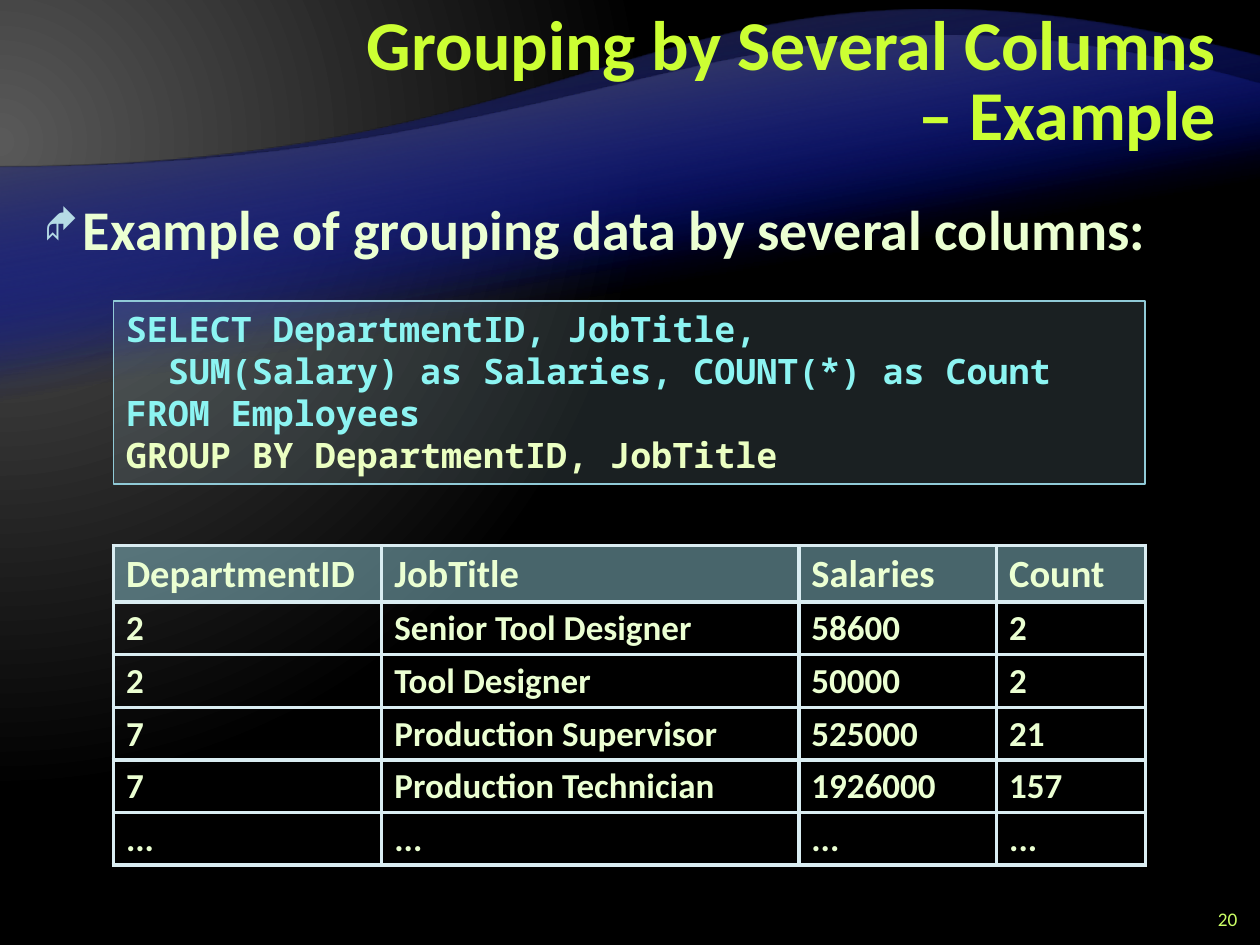
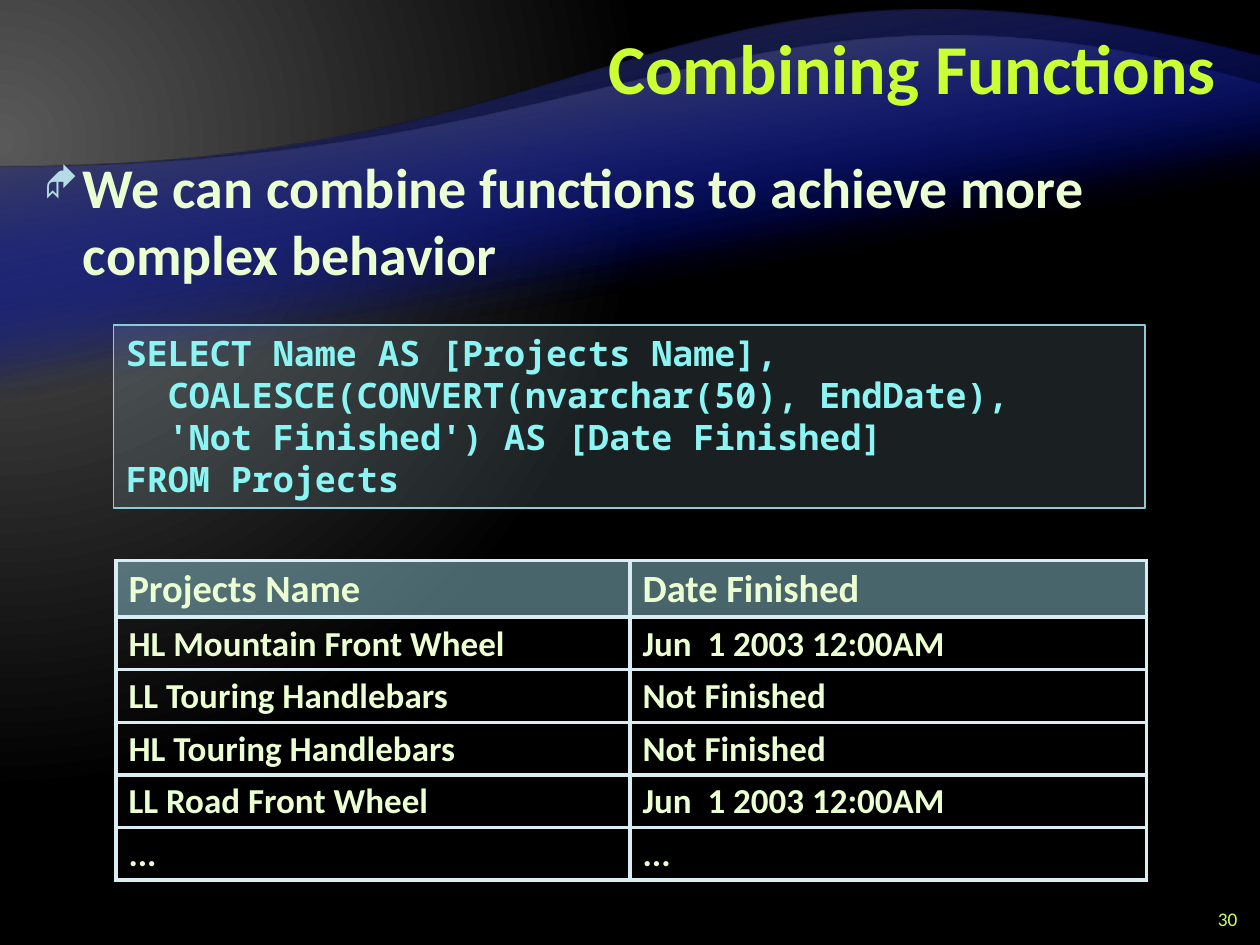
from dataclasses import dataclass

from lxml import etree
from pptx import Presentation
from pptx import oxml
from pptx.dml.color import RGBColor
from pptx.enum import shapes, text
from pptx.oxml.ns import qn
from pptx.util import Inches, Pt


@dataclass(frozen=True)
class Theme:
    font: str = "Calibri"
    code_font: str = "Noto Sans Mono"
    title: str = "CCFF33"
    body: str = "EBFFD2"
    number: str = "CCFF66"
    code: str = "8CF4F2"
    code_highlight: str = "EBFFC2"
    pale: str = "B5DBE5"
    accent: str = "90CAD7"
    border: str = "DAEDF2"
    wave: str = "000D9E"
    wave_edges: tuple = ("262626", "595959")
    title_size: int = 40
    body_size: int = 32
    header_size: int = 22
    cell_size: int = 20
    code_size: int = 20
    number_size: int = 11


THEME = Theme()

BACKGROUND = (
    '<p:bg xmlns:p="http://schemas.openxmlformats.org/presentationml/2006/main" '
    'xmlns:a="http://schemas.openxmlformats.org/drawingml/2006/main"><p:bgPr>'
    '<a:gradFill rotWithShape="1"><a:gsLst>'
    '<a:gs pos="0"><a:srgbClr val="595959"/></a:gs>'
    '<a:gs pos="83000"><a:srgbClr val="000000"/></a:gs></a:gsLst>'
    '<a:path path="circle"><a:fillToRect l="20000" t="30000" r="135000" b="100000"/></a:path>'
    '</a:gradFill><a:effectLst/></p:bgPr></p:bg>'
)

BACK_WAVE = (6.53, ((0, 1.33), (5, 1.33), (5.34, -0.75), (10, 0.45)))
FRONT_WAVE = (5.57, ((0, 1.33), (5, 1.33), (5.98, -0.49), (10, 0.67)))


def rgb(value):
    return RGBColor.from_string(value)


def add_child(parent, tag, **attributes):
    return etree.SubElement(parent, qn(tag), **attributes)


def set_alpha(color_holder, percent):
    color = next(color_holder.iter(qn("a:srgbClr")))
    add_child(color, "a:alpha", val=str(percent * 1000))


def style_runs(para, size, color, font=THEME.font, bold=True):
    for span in para.runs:
        span.font.name = font
        span.font.size = Pt(size)
        span.font.bold = bold
        span.font.color.rgb = rgb(color)


def bend_crest(wave, points):
    crest = list(wave.element.iter(qn("a:lnTo")))[2]
    curve = etree.Element(qn("a:cubicBezTo"))
    for x, y in points:
        add_child(curve, "a:pt", x=str(Inches(x)), y=str(Inches(y)))
    crest.getparent().replace(crest, curve)


def add_wave(page, bottom, controls, edge):
    turned = [(10 - x, bottom - y) for x, y in controls]
    top = controls[-1][1]
    corners = [(0, top), (10, top), (10, top + turned[0][1]), (0, bottom)]
    start, *rest = [(Inches(x), Inches(y)) for x, y in corners]
    builder = page.shapes.build_freeform(*start)
    builder.add_line_segments(rest, close=True)
    wave = builder.convert_to_shape()
    bend_crest(wave, turned[1:])
    wave.rotation = 180
    wave.shadow.inherit = False
    wave.line.fill.background()
    wave.fill.gradient()
    wave.fill.gradient_angle = 280
    clear, solid = wave.fill.gradient_stops
    clear.position, solid.position = 0.65, 1
    clear.color.rgb, solid.color.rgb = rgb(THEME.wave), rgb(edge)
    set_alpha(wave.element.spPr, 0)
    return wave


def decorate_layout(layout, page):
    layout.element.cSld.insert(0, oxml.parse_xml(BACKGROUND))
    tree = layout.element.cSld.spTree
    waves = list(zip((BACK_WAVE, FRONT_WAVE), THEME.wave_edges)) * 2
    for index, ((bottom, controls), edge) in enumerate(waves):
        wave = add_wave(page, bottom, controls, edge)
        wave.element.nvSpPr.cNvPr.set("id", str(100 + index))
        tree.insert(2 + index, wave.element)


def set_title(page, words, left, top, width):
    title = page.shapes.title
    title.left, title.top = Inches(left), Inches(top)
    title.width, title.height = Inches(width), Inches(1)
    frame = title.text_frame
    frame.text = words
    frame.word_wrap = True
    frame.auto_size = text.MSO_AUTO_SIZE.NONE
    frame.vertical_anchor = text.MSO_ANCHOR.MIDDLE
    para = frame.paragraphs[0]
    para.alignment = text.PP_ALIGN.RIGHT
    para.line_spacing = Pt(40)
    style_runs(para, THEME.title_size, THEME.title)


def add_text(page, words, left, top, width, height):
    box = page.shapes.add_textbox(Inches(left), Inches(top), Inches(width), Inches(height))
    box.text_frame.word_wrap = True
    box.text_frame.text = words
    return box.text_frame


def add_bullet(page, words, top):
    para = add_text(page, words, 0.25, top, 9.5, 7.33 - top).paragraphs[0]
    para.line_spacing = Pt(38)
    para.space_after = Pt(6)
    props = para._p.get_or_add_pPr()
    props.set("marL", str(Inches(0.31)))
    props.set("indent", str(Inches(-0.31)))
    add_child(add_child(props, "a:buClr"), "a:srgbClr", val=THEME.pale)
    add_child(props, "a:buSzPct", val="70000")
    add_child(props, "a:buFont", typeface="Wingdings", charset="2")
    add_child(props, "a:buChar", char="◆")
    style_runs(para, THEME.body_size, THEME.body)


def add_number(page, number):
    frame = add_text(page, str(number), 9.42, 7.17, 0.5, 0.25)
    frame.vertical_anchor = text.MSO_ANCHOR.MIDDLE
    para = frame.paragraphs[0]
    para.alignment = text.PP_ALIGN.RIGHT
    style_runs(para, THEME.number_size, THEME.number, bold=False)


def add_code(page, lines, top, highlighted=()):
    box = page.shapes.add_shape(shapes.MSO_SHAPE.RECTANGLE, Inches(0.9), Inches(top),
                                Inches(8.19), Inches(1.45))
    box.shadow.inherit = False
    box.fill.solid()
    box.fill.fore_color.rgb = rgb(THEME.pale)
    set_alpha(box.element.spPr, 15)
    box.line.color.rgb = rgb(THEME.accent)
    box.line.width = Pt(1)
    frame = box.text_frame
    frame.text = "\n".join(lines)
    frame.word_wrap = True
    frame.auto_size = text.MSO_AUTO_SIZE.SHAPE_TO_FIT_TEXT
    frame.vertical_anchor = text.MSO_ANCHOR.TOP
    for index, para in enumerate(frame.paragraphs):
        para.alignment = text.PP_ALIGN.LEFT
        color = THEME.code_highlight if index in highlighted else THEME.code
        style_runs(para, THEME.code_size, color, THEME.code_font)


def set_borders(cell):
    props = cell._tc.get_or_add_tcPr()
    for index, side in enumerate(("a:lnL", "a:lnR", "a:lnT", "a:lnB")):
        line = add_child(props, side, w=str(Pt(2.25)))
        add_child(add_child(line, "a:solidFill"), "a:srgbClr", val=THEME.border)
        props.insert(index, line)


def style_cell(cell, is_header):
    if is_header:
        cell.fill.solid()
        cell.fill.fore_color.rgb = rgb(THEME.accent)
        set_alpha(cell._tc.tcPr, 50)
    else:
        cell.fill.background()
    set_borders(cell)
    para = cell.text_frame.paragraphs[0]
    para.line_spacing = 0.95
    style_runs(para, THEME.header_size if is_header else THEME.cell_size, THEME.body)


def add_result_table(page, rows, left, top, widths):
    row_height = Inches(0.38)
    table = page.shapes.add_table(len(rows), len(widths), Inches(left), Inches(top),
                                  Inches(sum(widths)), row_height * len(rows)).table
    table.first_row = table.horz_banding = False
    for column, width in zip(table.columns, widths):
        column.width = Inches(width)
    for index, (row, values) in enumerate(zip(table.rows, rows)):
        row.height = row_height
        for cell, value in zip(row.cells, values):
            cell.text = value
            style_cell(cell, index == 0)


def build_grouping(page):
    set_title(page, "Grouping by Several Columns – Example", 2.75, 0.17, 7)
    add_bullet(page, "Example of grouping data by several columns:", 1.5)
    add_number(page, 20)
    add_code(page, [
        "SELECT DepartmentID, JobTitle,",
        "  SUM(Salary) as Salaries, COUNT(*) as Count",
        "FROM Employees",
        "GROUP BY DepartmentID, JobTitle",
    ], 2.39, highlighted=(3,))
    add_result_table(page, [
        ("DepartmentID", "JobTitle", "Salaries", "Count"),
        ("2", "Senior Tool Designer", "58600", "2"),
        ("2", "Tool Designer", "50000", "2"),
        ("7", "Production Supervisor", "525000", "21"),
        ("7", "Production Technician", "1926000", "157"),
        ("...",) * 4,
    ], 0.9, 4.33, (2.13, 3.31, 1.57, 1.18))


def build_combining(page):
    set_title(page, "Combining Functions", 2, 0.08, 7.75)
    add_bullet(page, "We can combine functions to achieve more complex behavior", 1.17)
    add_number(page, 30)
    add_code(page, [
        "SELECT Name AS [Projects Name],",
        "  COALESCE(CONVERT(nvarchar(50), EndDate),",
        "  'Not Finished') AS [Date Finished]",
        "FROM Projects",
    ], 2.58)
    add_result_table(page, [
        ("Projects Name", "Date Finished"),
        ("HL Mountain Front Wheel", "Jun  1 2003 12:00AM"),
        ("LL Touring Handlebars", "Not Finished"),
        ("HL Touring Handlebars", "Not Finished"),
        ("LL Road Front Wheel", "Jun  1 2003 12:00AM"),
        ("...",) * 2,
    ], 0.92, 4.45, (4.08, 4.1))


def main():
    deck = Presentation()
    deck.slide_width, deck.slide_height = Inches(10), Inches(7.5)
    layout = deck.slide_layouts[5]
    pages = [deck.slides.add_slide(layout) for _ in range(2)]
    decorate_layout(layout, pages[0])
    build_grouping(pages[0])
    build_combining(pages[1])
    deck.save("out.pptx")


if __name__ == "__main__":
    main()
